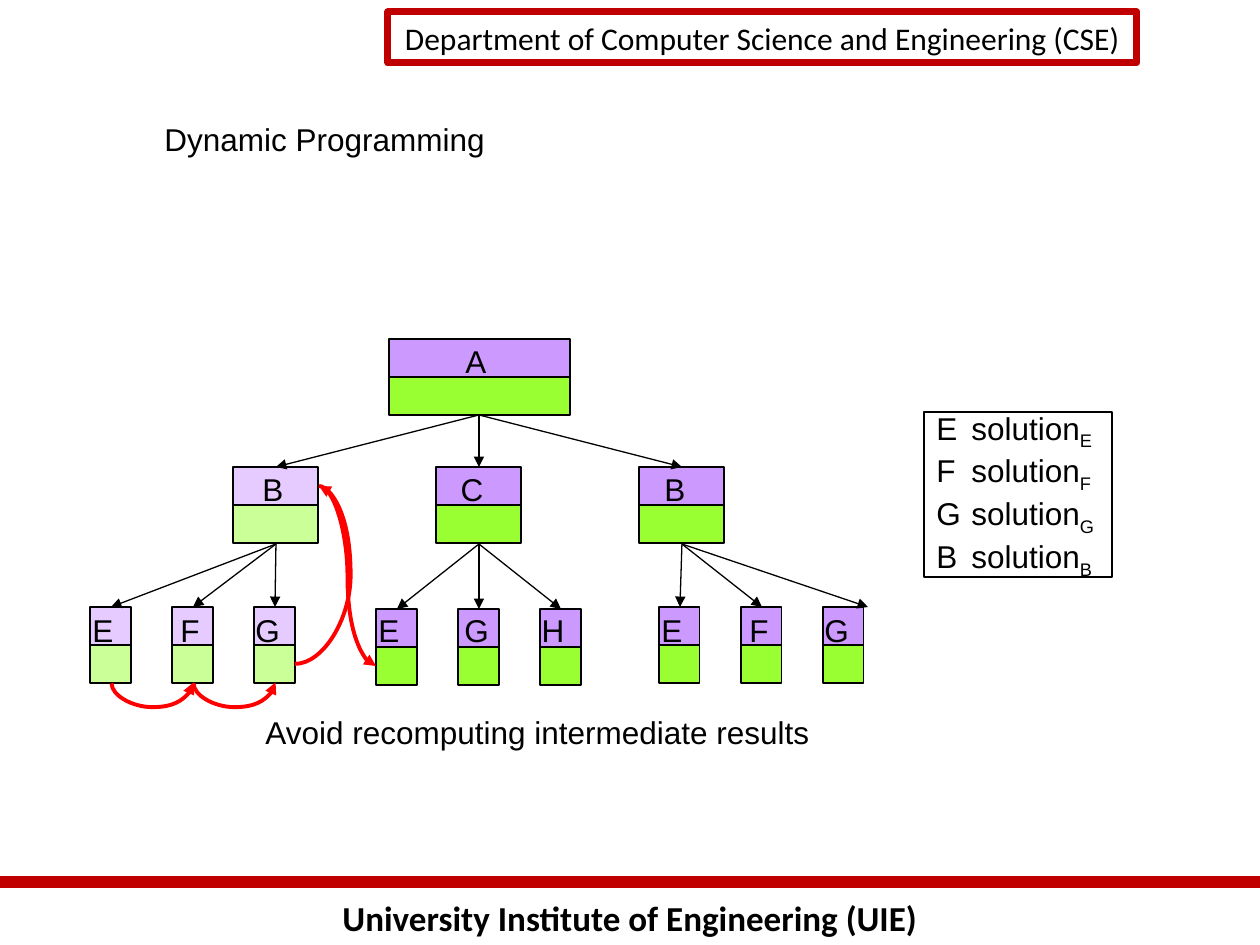
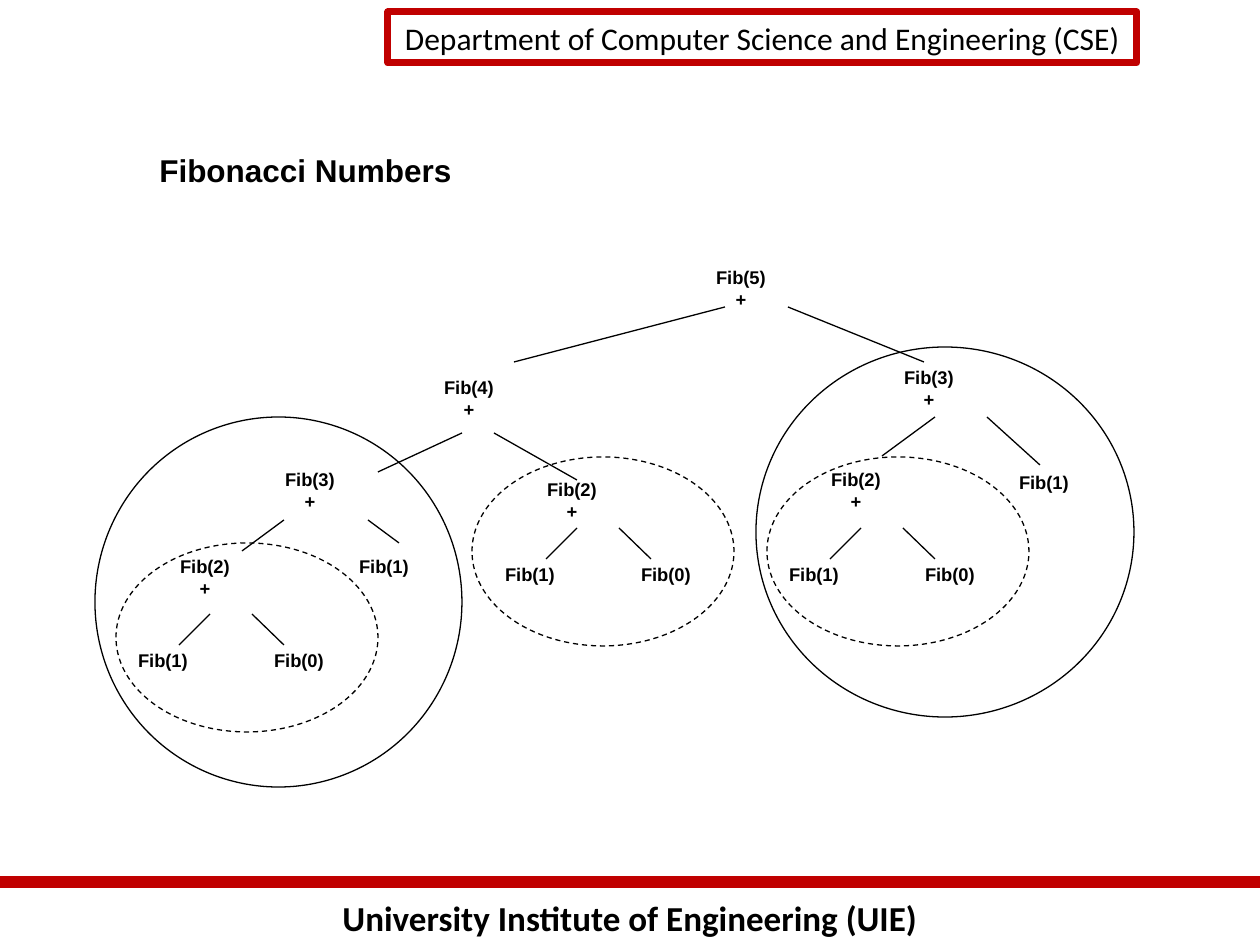
from lxml import etree
from pptx import Presentation
from pptx.dml.color import RGBColor
from pptx.enum.dml import MSO_LINE
from pptx.enum.shapes import MSO_CONNECTOR, MSO_SHAPE
from pptx.enum.text import MSO_ANCHOR, PP_ALIGN
from pptx.oxml.ns import qn
from pptx.util import Pt

PX = 914400 // 126
COLORS = {"black": "000000", "band": "C00000", "purple": "CC99FF",
          "green": "99FF33", "red": "FF0000"}


def add_box(sl, x, y, w, h, lines=(), kind=None, fill=None, line=None, weight=0.75,
            size=18, font="Arial", bold=False, align=PP_ALIGN.CENTER,
            anchor=MSO_ANCHOR.MIDDLE, wrap=True):
    """Add a text box, or a shape if kind is given; "_" in a line starts a subscript."""
    place = [v * PX for v in (x, y, w, h)]
    if kind is None:
        s = sl.shapes.add_textbox(*place)
    else:
        s = sl.shapes.add_shape(kind, *place)
        s.shadow.inherit = False
        s.fill.background()
        if fill:
            s.fill.solid()
            s.fill.fore_color.rgb = RGBColor.from_string(COLORS[fill])
        s.line.color.rgb = RGBColor.from_string(COLORS[line or "black"])
        s.line.width = Pt(weight)
    tf = s.text_frame
    tf.word_wrap = wrap
    tf.vertical_anchor = anchor
    for i, text in enumerate(lines):
        p = tf.add_paragraph() if i else tf.paragraphs[0]
        p.alignment = align
        for j, part in enumerate(text.split("_")):
            r = p.add_run()
            r.text = part
            r.font.size, r.font.name, r.font.bold = Pt(size), font, bold
            r.font.color.rgb = RGBColor.from_string(COLORS["black"])
            if j:
                r.font._element.set("baseline", "-25000")
    return s


def add_line(sl, x1, y1, x2, y2, color="black", weight=0.75, arrow=False, bend=None, turn=0):
    """Add a line; bend makes it a curve with that adjustment, turn rotates it in degrees."""
    kind = MSO_CONNECTOR.STRAIGHT if bend is None else MSO_CONNECTOR.CURVE
    s = sl.shapes.add_connector(kind, x1 * PX, y1 * PX, x2 * PX, y2 * PX)
    s.line.color.rgb = RGBColor.from_string(COLORS[color])
    s.line.width = Pt(weight)
    pr = s._element.spPr
    if arrow:
        etree.SubElement(s.line._get_or_add_ln(), qn("a:tailEnd"), type="triangle")
    if bend is not None:
        guides = pr.find(qn("a:prstGeom")).find(qn("a:avLst"))
        etree.SubElement(guides, qn("a:gd"), name="adj1", fmla=f"val {round(bend * 100000)}")
    if turn:
        pr.find(qn("a:xfrm")).set("rot", str(turn * 60000))
    etree.SubElement(pr, qn("a:effectLst"))


prs = Presentation()
prs.slide_width, prs.slide_height = 1260 * PX, 945 * PX

# Shared frame and titles
slides = []
for title, x, y, bold in [("Dynamic Programming", 152, 50, False),
                          ("Fibonacci Numbers", 147, 81, True)]:
    sl = prs.slides.add_slide(prs.slide_layouts[6])
    add_box(sl, 0, 890, 1260, 54, ["University Institute of Engineering (UIE)"],
            size=20, font="Calibri", bold=True, anchor=MSO_ANCHOR.TOP)
    add_line(sl, 0, 882, 1260, 882, "band", 7)
    add_box(sl, 388, 12, 749, 51, ["Department of Computer Science and Engineering (CSE)"],
            MSO_SHAPE.RECTANGLE, line="band", weight=4, font="Calibri")
    s = add_box(sl, x, y, 1086, 183, [title], bold=bold, align=PP_ALIGN.LEFT)
    s.text_frame.paragraphs[0].line_spacing = 0.9
    slides.append(sl)
tree, fib = slides

# Slide 1: tree of subproblems, solved ones half transparent
HALF = 38
# letter, left, top, width, label centre from left, label top, solved
nodes = [("A", 389, 339, 181, 87, 336, False)]
arrows = []
for parent, x, dx, letters, first, top, solved in [("B", 233, 40, "EFG", 90, 607, True),
                                                   ("C", 436, 36, "EGH", 376, 609, False),
                                                   ("B", 639, 36, "EFG", 659, 607, False)]:
    nodes.append((parent, x, 467, 85, dx, 464, solved))
    arrows.append((479, 415, x + 43, 467))
    for i, letter in enumerate(letters):
        left = first + 82 * i
        nodes.append((letter, left, top, 41, (13, 18, 13)[i], 605, solved))
        tip = 868 if left == 823 else left + 21
        arrows.append((x + 43, 544, tip, top))

for letter, x, y, w, dx, label_top, solved in nodes:
    for part, fill in enumerate(("purple", "green")):
        s = add_box(tree, x, y + part * HALF, w, HALF, kind=MSO_SHAPE.RECTANGLE, fill=fill)
        if solved:
            color = s._element.spPr.find(qn("a:solidFill"))[0]
            etree.SubElement(color, qn("a:alpha"), val="50000")
for ends in arrows:
    add_line(tree, *ends, arrow=True)
for letter, x, y, w, dx, label_top, solved in nodes:
    add_box(tree, x + dx - 24, label_top, 48, 50, [letter], wrap=False)

for x in (152, 234):
    add_line(tree, x + 1, 724, x, 642, "red", 2.25, True, bend=-24, turn=90)
add_line(tree, 295, 664, 319, 486, "red", 2.25, True, bend=2.32)
add_line(tree, 319, 486, 376, 666, "red", 2.25, True, bend=0.5)

add_box(tree, 253, 707, 575, 50, ["Avoid recomputing intermediate results"],
        align=PP_ALIGN.LEFT, wrap=False)
s = add_box(tree, 924, 412, 188, 165, [f"{c}\tsolution_{c}" for c in "EFGB"],
            MSO_SHAPE.RECTANGLE, weight=1, align=PP_ALIGN.LEFT)
s.text_frame.margin_right = 0
for p in s.text_frame.paragraphs:
    tabs = etree.SubElement(p._p.get_or_add_pPr(), qn("a:tabLst"))
    etree.SubElement(tabs, qn("a:tab"), pos=str(35 * PX), algn="l")

# Slide 2: call tree; each Fib(2) subtree repeats inside a dashed ellipse
calls = [(5, 741, 260), (4, 469, 370), (3, 929, 360), (3, 310, 462),
         (1, 1044, 465), (1, 384, 549)]
links = [(725, 307, 514, 362), (788, 307, 924, 362), (462, 433, 378, 472),
         (494, 433, 577, 480), (935, 417, 882, 456), (987, 417, 1040, 465),
         (284, 520, 242, 551), (368, 520, 399, 543)]
ellipses = [(95, 417, 367, 370, False), (756, 347, 378, 370, False)]
for x, y, drop, shift in [(116, 543, 6, 0), (483, 457, 15, 11), (767, 457, 5, 0)]:
    calls += [(2, x + 89, y + drop), (1, x + 47, y + 100), (0, x + 183, y + 100)]
    links += [(x + 94, y + 71, x + 63, y + 102), (x + 136, y + 71, x + 168, y + 102)]
    ellipses.append((x - shift, y, 262, 189, True))

for n, x, y in calls:
    add_box(fib, x - 38, y, 76, 57, [f"Fib({n})"] + ["+"] * (n > 1), size=10.5,
            bold=True, anchor=MSO_ANCHOR.TOP, wrap=False)
for ends in links:
    add_line(fib, *ends)
for x, y, w, h, dashed in ellipses:
    s = add_box(fib, x, y, w, h, kind=MSO_SHAPE.OVAL)
    if dashed:
        s.line.dash_style = MSO_LINE.DASH

prs.save("out.pptx")
